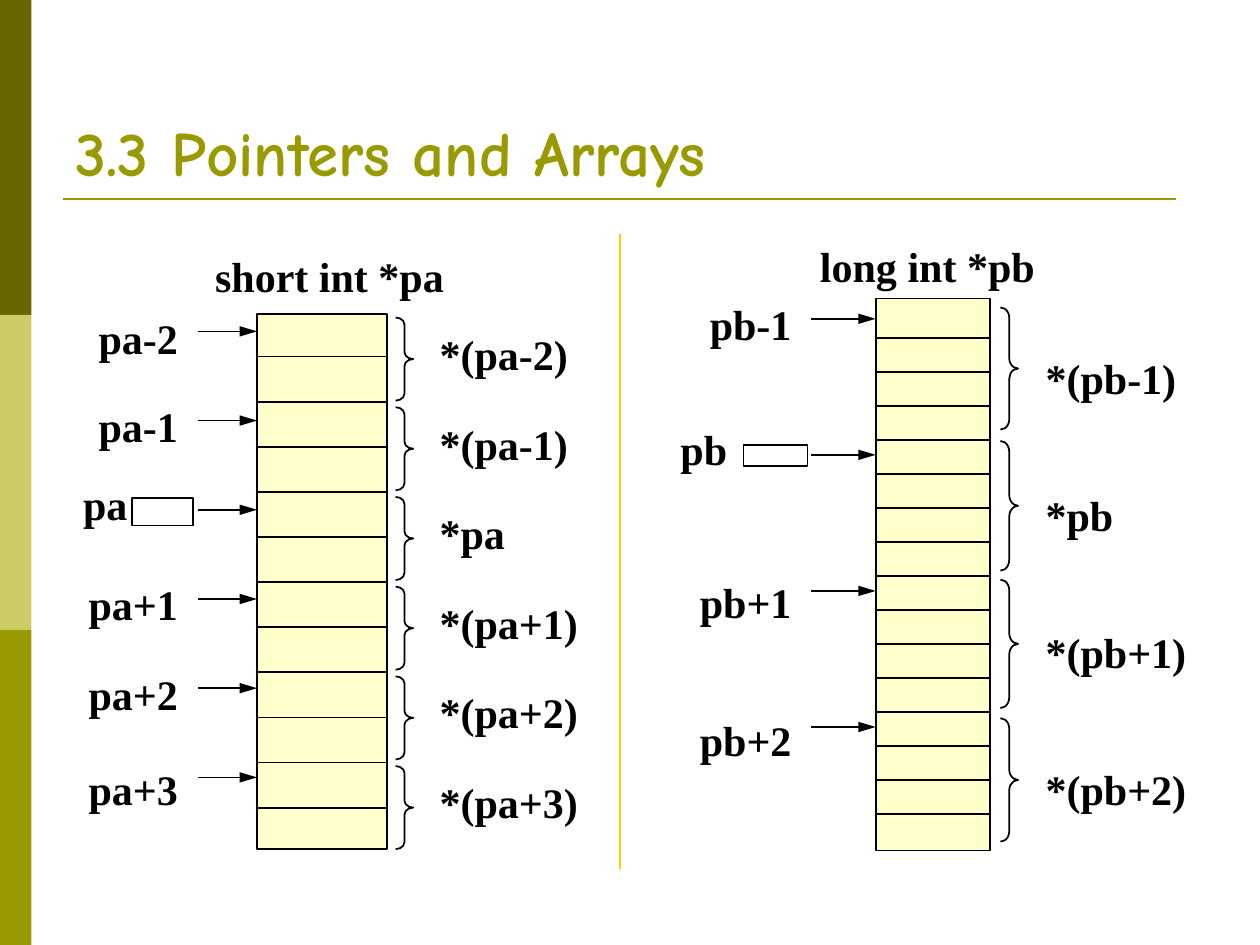
from lxml import etree
from pptx import Presentation, util as u
from pptx.dml.color import RGBColor
from pptx.enum import shapes, text
from pptx.oxml import ns

BLACK = RGBColor(0x00, 0x00, 0x00)
OLIVE = RGBColor(0x99, 0x99, 0x00)
DARK_OLIVE = RGBColor(0x66, 0x66, 0x00)
PALE_OLIVE = RGBColor(0xCC, 0xCC, 0x66)
CREAM = RGBColor(0xFF, 0xFF, 0xCC)
GOLD = RGBColor(0xFF, 0xCC, 0x00)
LEFT, CENTER, RIGHT = text.PP_ALIGN.LEFT, text.PP_ALIGN.CENTER, text.PP_ALIGN.RIGHT

deck = Presentation()
deck.slide_width, deck.slide_height = u.Inches(10), u.Inches(7.5)
COL = deck.slide_width / 100
ROW = deck.slide_height / 75
slide = deck.slides.add_slide(deck.slide_layouts[6])


def grid(left, top, width, height):
    return round(left * COL), round(top * ROW), round(width * COL), round(height * ROW)


def write(parent, wording, left, top, width, align, height=5, size=24,
          font="Times New Roman", colour=BLACK, anchor=text.MSO_ANCHOR.TOP):
    frame = parent.add_textbox(*grid(left, top, width, height)).text_frame
    frame.word_wrap = True
    frame.vertical_anchor = anchor
    frame.text = wording
    paragraph = frame.paragraphs[0]
    paragraph.alignment = align
    face = paragraph.runs[0].font
    face.name, face.size, face.bold = font, u.Pt(size), True
    face.color.rgb = colour


def rule(parent, x1, y1, x2, y2, colour=BLACK, weight=1):
    line = parent.add_connector(shapes.MSO_CONNECTOR.STRAIGHT, *grid(x1, y1, x2, y2))
    line.line.color.rgb = colour
    line.line.width = u.Pt(weight)
    etree.SubElement(line._element.spPr, ns.qn("a:effectLst"))
    return line


for band, colour in enumerate((DARK_OLIVE, PALE_OLIVE, OLIVE)):
    stripe = slide.shapes.add_shape(shapes.MSO_SHAPE.RECTANGLE, *grid(0, 25 * band, 2.5, 25))
    stripe.shadow.inherit = False
    stripe.fill.solid()
    stripe.fill.fore_color.rgb = colour
    stripe.line.fill.background()

rule(slide.shapes, 5, 15.8, 93.3, 15.8, OLIVE, 1.5)
write(slide.shapes, "3.3 Pointers and Arrays", 5, 3, 90, LEFT, 12.5, 36,
      "Comic Neue", OLIVE, text.MSO_ANCHOR.BOTTOM)

short_array = dict(
    heading=("short int *pa", 14.1, 19.4, 24.1),
    memory=(20.4, 24.9, 10.3, 42.5), cells=12, first_divider=28.3, last_divider=64.1,
    pointer=("pa", 4.8, 37.5, 7.1, CENTER), pointer_cell=(10.5, 39.5, 4.8, 2.2),
    addresses=(("pa-2", 24.3), ("pa-1", 31.3), ("pa+1", 45.4), ("pa+2", 52.6), ("pa+3", 60.1)),
    address_left=4.3, address_width=10.8,
    arrow_left=15.7, first_arrow=26.3, arrow_step=7.08,
    values=("*(pa-2)", "*(pa-1)", "*pa", "*(pa+1)", "*(pa+2)", "*(pa+3)"),
    value_left=33.9, first_value=25.6, value_step=7.1, value_width=13.7,
    brace_left=31.4, braces=[(25.2 + 7.12 * i, 6.6) for i in range(6)])
long_array = dict(
    heading=("long int *pb", 62.7, 18.6, 21.8),
    memory=(69.5, 23.7, 9.1, 43.8), cells=16, first_divider=26.8, last_divider=64.6,
    pointer=("pb", 51.6, 33.1, 7.1, RIGHT), pointer_cell=(59, 35.3, 5.1, 1.7),
    addresses=(("pb-1", 23.2), ("pb+1", 45.3), ("pb+2", 56.2)),
    address_left=53.4, address_width=10.4,
    arrow_left=64.4, first_arrow=25.3, arrow_step=10.8,
    values=("*(pb-1)", "*pb", "*(pb+1)", "*(pb+2)"),
    value_left=82, first_value=27.5, value_step=10.87, value_width=14.4,
    brace_left=79.4, braces=[(24.4, 9.7), (35, 10.3), (46, 10.2), (57, 9.8)])

for array in (short_array, long_array):
    diagram = slide.shapes.add_group_shape().shapes
    write(diagram, *array["heading"], CENTER)
    write(diagram, *array["pointer"])
    for place, colour in ((array["memory"], CREAM), (array["pointer_cell"], None)):
        block = diagram.add_shape(shapes.MSO_SHAPE.RECTANGLE, *grid(*place))
        block.shadow.inherit = False
        block.line.color.rgb = BLACK
        block.line.width = u.Pt(1)
        if colour is None:
            block.fill.background()
        else:
            block.fill.solid()
            block.fill.fore_color.rgb = colour

    memory_left, _, memory_width, _ = array["memory"]
    pitch = (array["last_divider"] - array["first_divider"]) / (array["cells"] - 2)
    for divider in range(array["cells"] - 1):
        y = array["first_divider"] + divider * pitch
        rule(diagram, memory_left, y, memory_left + memory_width, y)

    for wording, top in array["addresses"]:
        write(diagram, wording, array["address_left"], top, array["address_width"], RIGHT)

    for step, (wording, (top, height)) in enumerate(zip(array["values"], array["braces"])):
        y = array["first_arrow"] + step * array["arrow_step"]
        arrow = rule(diagram, array["arrow_left"], y, memory_left, y)
        etree.SubElement(arrow.line._get_or_add_ln(), ns.qn("a:tailEnd"),
                         type="triangle", w="med", len="lg")
        brace = diagram.add_shape(shapes.MSO_SHAPE.RIGHT_BRACE,
                                  *grid(array["brace_left"], top, 1.4, height))
        brace.adjustments[0] = height / 12 / 1.4
        brace.shadow.inherit = False
        brace.fill.background()
        brace.line.color.rgb = BLACK
        brace.line.width = u.Pt(1)
        write(diagram, wording, array["value_left"],
              array["first_value"] + step * array["value_step"], array["value_width"], LEFT)

rule(slide.shapes, 49.2, 18.6, 49.2, 69, GOLD, 0.75)

deck.save("out.pptx")
